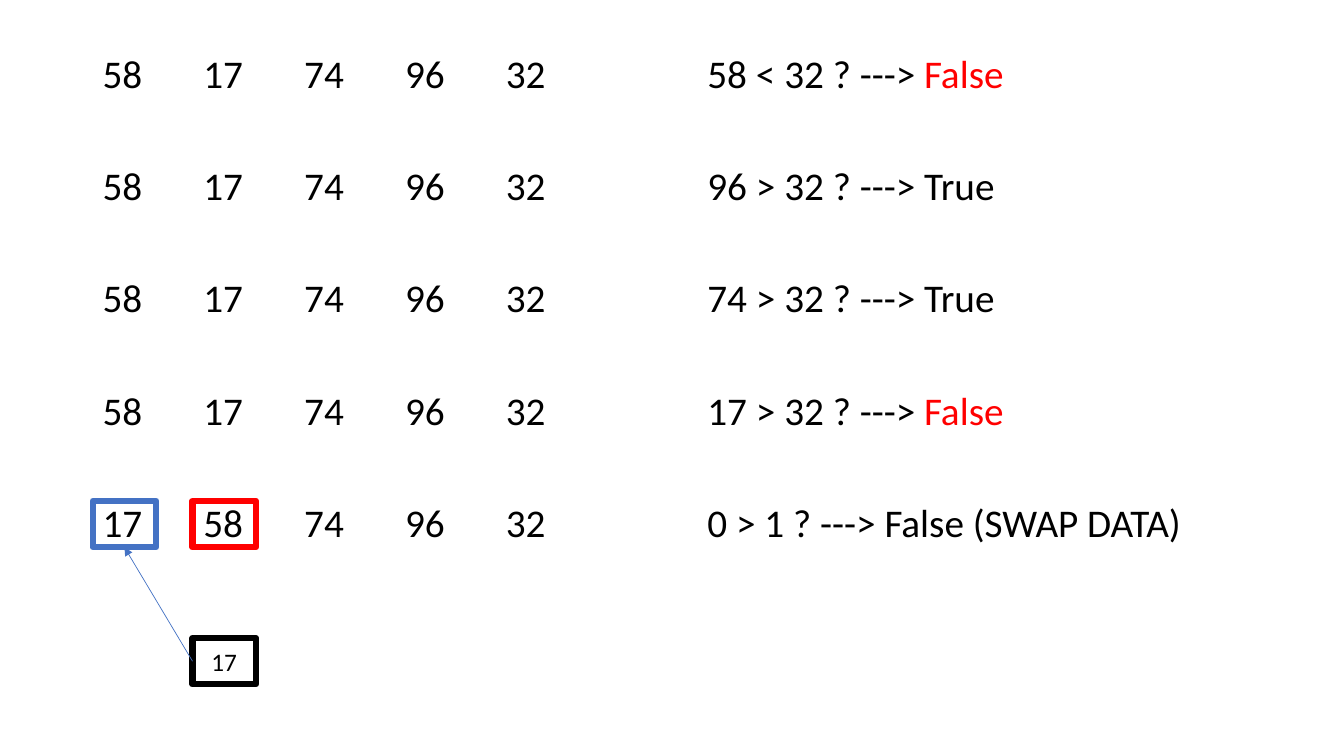
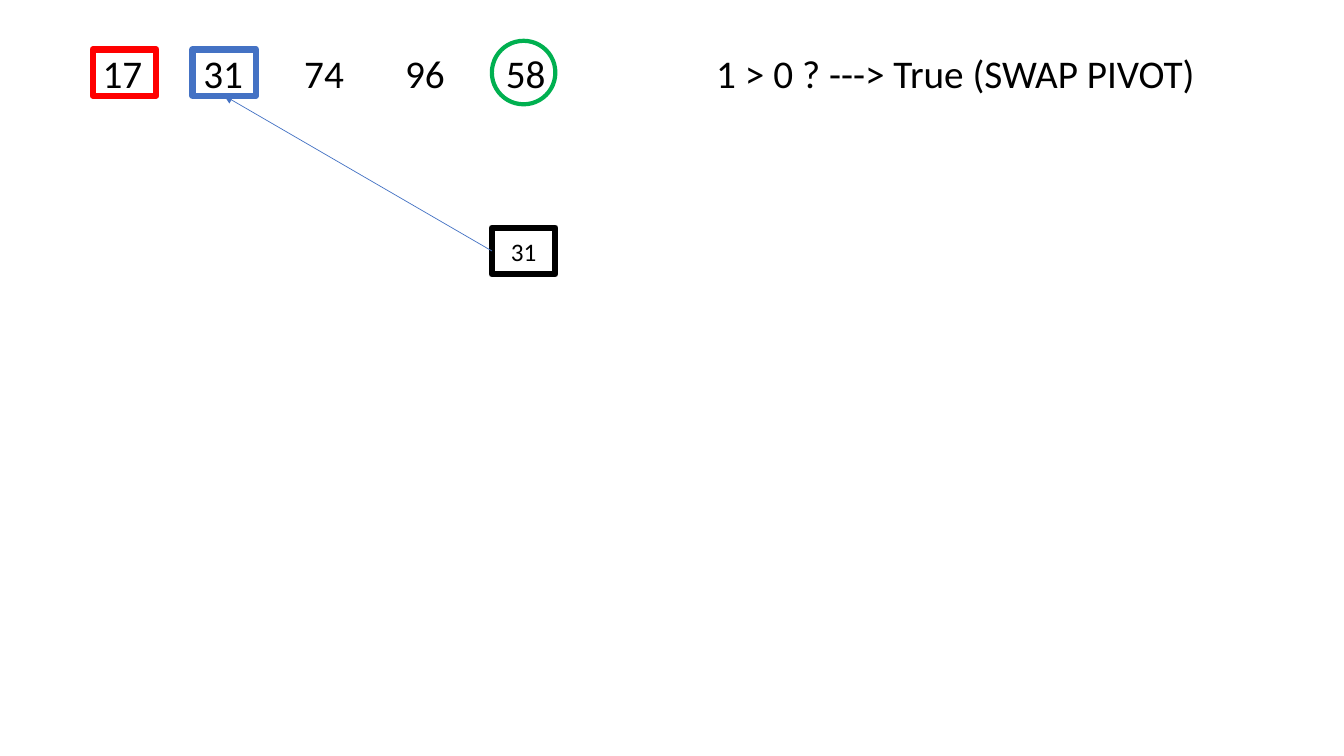
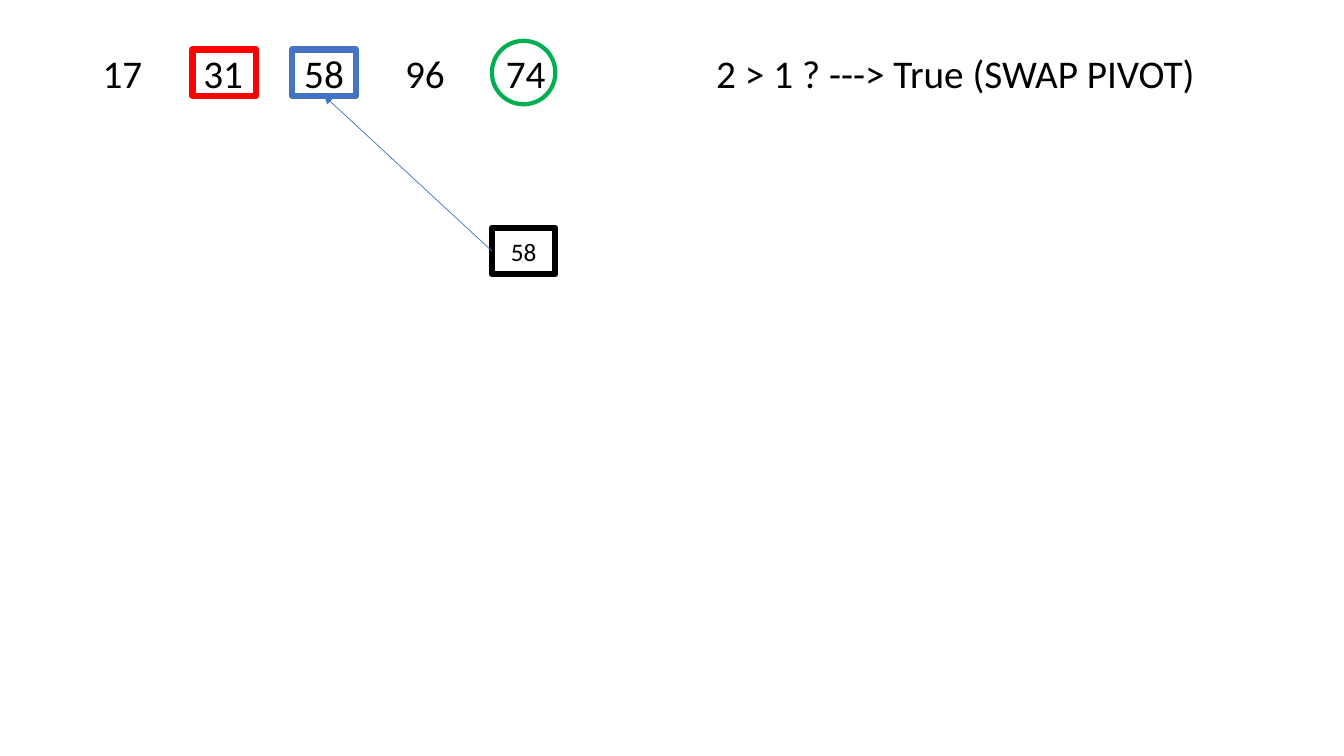
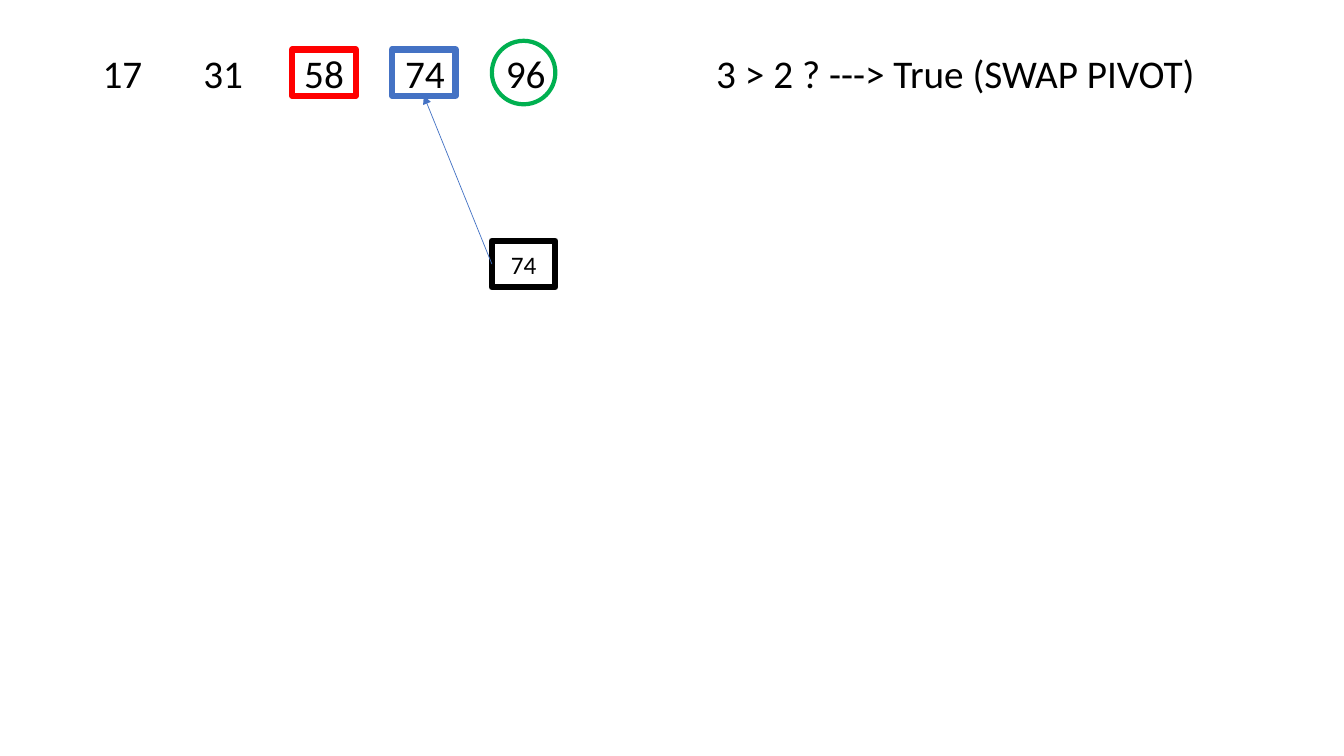
from dataclasses import dataclass

import pptx
import pptx.dml.color
import pptx.enum.shapes
import pptx.enum.text
import pptx.oxml.ns
import pptx.util
from lxml import etree

Pt = pptx.util.Pt
SHAPE = pptx.enum.shapes.MSO_SHAPE


@dataclass(frozen=True)
class Theme:
    """Colours, type sizes and line widths of the deck."""
    font: str = "Calibri"
    body: float = 28
    small: float = 18
    black: str = "000000"
    red: str = "FF0000"
    blue: str = "4472C4"
    green: str = "00B050"
    frame: float = 4.5
    ring: float = 3
    arrow: float = 0.5


@dataclass(frozen=True)
class Grid:
    """Spacing of the number rows and their markers."""
    tab: float = 72
    tabs: int = 6
    column: float = 71.28
    row: float = 80.64
    cell_w: float = 45.36
    cell_h: float = 33.12
    space_before: float = 10
    row_space: float = 50


T = Theme()
G = Grid()
BODY = (66.24, 35.28, 828, 473.04)


def rgb(value):
    """Turn a hex string into a colour."""
    return pptx.dml.color.RGBColor.from_string(value)


def add_run(p, text, size, color=T.black):
    """Add one formatted run to a paragraph."""
    r = p.add_run()
    r.text = text
    r.font.name = T.font
    r.font.size = Pt(size)
    r.font.color.rgb = rgb(color)


def set_tabs(p):
    """Give a paragraph evenly spaced left tab stops."""
    tabs = etree.SubElement(p._p.get_or_add_pPr(), pptx.oxml.ns.qn("a:tabLst"))
    for i in range(1, G.tabs + 1):
        etree.SubElement(tabs, pptx.oxml.ns.qn("a:tab"),
                         pos=str(Pt(G.tab * i)), algn="l")


def add_rows(s, box, rows):
    """Write rows of numbers, each with its comparison."""
    tf = s.shapes.add_textbox(*map(Pt, box)).text_frame
    tf.word_wrap = True
    for i, (numbers, question, verdict) in enumerate(rows):
        p = tf.add_paragraph() if i else tf.paragraphs[0]
        p.line_spacing = 0.9
        p.space_before = Pt(G.row_space if i else G.space_before)
        set_tabs(p)
        add_run(p, "\t".join(numbers.split()) + "\t\t" + question + " ---> ", T.body)
        add_run(p, verdict, T.body, T.red if verdict == "False" else T.black)


def add_outline(s, kind, box, color, width):
    """Add an unfilled outlined shape."""
    sp = s.shapes.add_shape(kind, *map(Pt, box))
    sp.shadow.inherit = False
    sp.fill.background()
    sp.line.color.rgb = rgb(color)
    sp.line.width = Pt(width)
    return sp


def add_frame(s, box, column, color, drop=0):
    """Frame one column of the row whose cells start at the box."""
    left, top = box[:2]
    cell = (left + column * G.column, top + drop, G.cell_w, G.cell_h)
    return add_outline(s, SHAPE.RECTANGLE, cell, color, T.frame)


def add_pivot(s, box, column):
    """Circle the pivot, centred on its cell."""
    left, top = box[:2]
    circle = (left + column * G.column, top + (G.cell_h - G.cell_w) / 2,
              G.cell_w, G.cell_w)
    add_outline(s, SHAPE.OVAL, circle, T.green, T.ring)


def add_arrow(s, source, target):
    """Link the left of one frame to the bottom of another."""
    line = s.shapes.add_connector(pptx.enum.shapes.MSO_CONNECTOR.STRAIGHT, 0, 0, 0, 0)
    line.begin_connect(source, 1)
    line.end_connect(target, 2)
    line.line.color.rgb = rgb(T.blue)
    line.line.width = Pt(T.arrow)
    props = line._element.spPr
    etree.SubElement(props.find(pptx.oxml.ns.qn("a:ln")),
                     pptx.oxml.ns.qn("a:tailEnd"), type="triangle")
    etree.SubElement(props, pptx.oxml.ns.qn("a:effectLst"))


def add_swap(s, box, blue, red, held, drop, value):
    """Mark the swapped cells and the value held below them."""
    add_frame(s, box, red, T.red)
    target = add_frame(s, box, blue, T.blue)
    holder = add_frame(s, box, held, T.black, drop)
    tf = holder.text_frame
    tf.vertical_anchor = pptx.enum.text.MSO_ANCHOR.MIDDLE
    p = tf.paragraphs[0]
    p.alignment = pptx.enum.text.PP_ALIGN.CENTER
    add_run(p, value, T.small)
    add_arrow(s, holder, target)


def scan_slide(s, box):
    """Show the comparisons that lead to the first data swap."""
    start = "58 17 74 96 32"
    rows = [
        (start, "58 < 32 ?", "False"),
        (start, "96 > 32 ?", "True"),
        (start, "74 > 32 ?", "True"),
        (start, "17 > 32 ?", "False"),
        ("17 58 74 96 32", "0 > 1 ?", "False (SWAP DATA)"),
    ]
    add_rows(s, box, rows)
    left, top, width, height = box
    offset = (len(rows) - 1) * G.row
    last_row = (left, top + offset, width, height - offset)
    add_swap(s, last_row, blue=0, red=1, held=1, drop=97.92, value="17")


def pivot_slide(s, box, numbers, blue, drop):
    """Show one pivot swap on a single row."""
    red = blue - 1
    values = numbers.split()
    add_rows(s, box, [(numbers, f" {blue} > {red} ?", "True (SWAP PIVOT)")])
    pivot = len(values) - 1
    add_pivot(s, box, pivot)
    add_swap(s, box, blue, red, pivot, drop, values[blue])


def main():
    """Build and save the deck."""
    prs = pptx.Presentation()
    prs.slide_width, prs.slide_height = Pt(960), Pt(540)
    blank = prs.slide_layouts[6]
    scan_slide(prs.slides.add_slide(blank), BODY)
    for numbers, blue, drop in [
        ("17 31 74 96 58", 1, 127.44),
        ("17 31 58 96 74", 2, 127.44),
        ("17 31 58 74 96", 3, 136.8),
    ]:
        pivot_slide(prs.slides.add_slide(blank), BODY, numbers, blue, drop)
    prs.save("out.pptx")


main()
